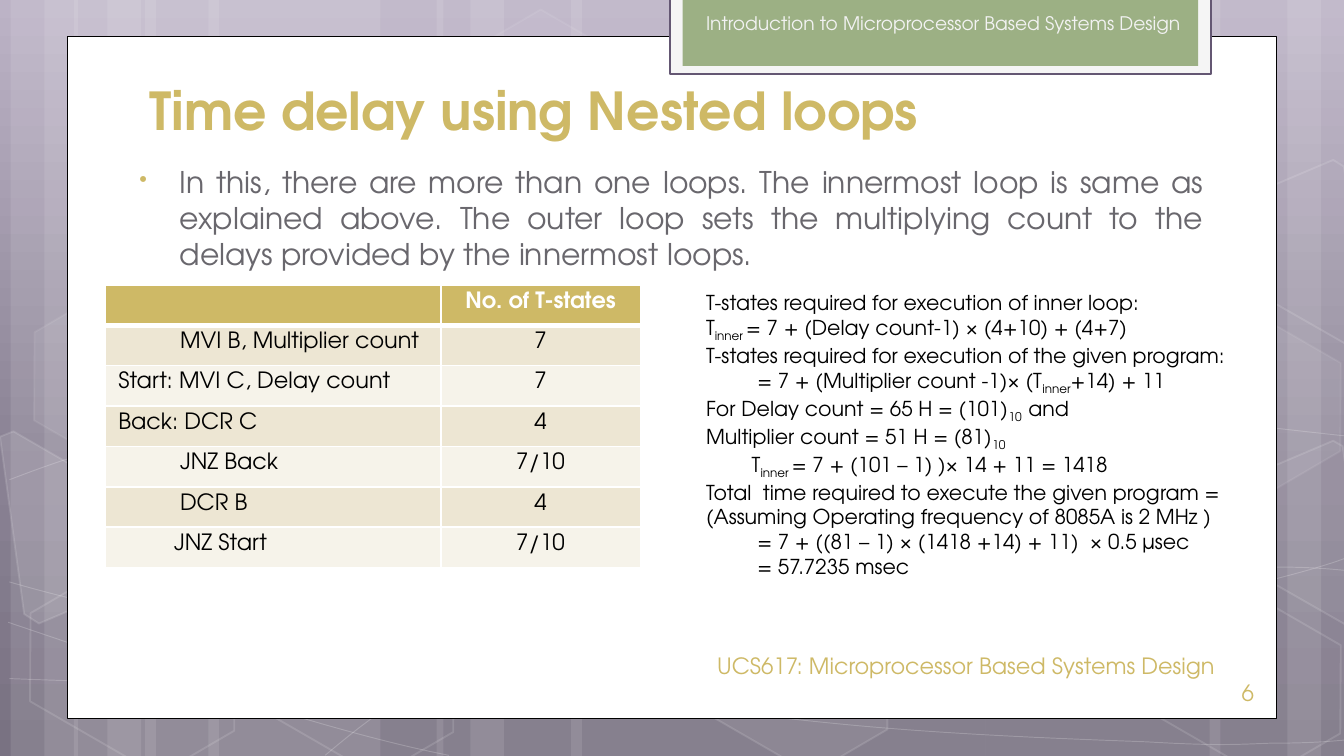
"""Builds a slide on time delays with nested loops."""
from lxml import etree
from copy import deepcopy
from pptx import Presentation
from pptx import util as u
from pptx.dml.color import RGBColor
from pptx.enum import shapes, text
from pptx.oxml.ns import qn

CELL = u.Inches(0.1)
COLUMNS, ROWS = 100, 56.25
FONT = "TeX Gyre Adventor"
GOLD = RGBColor(0xCE, 0xB9, 0x66)
GREEN = RGBColor(0x9C, 0xB0, 0x84)
PURPLE = RGBColor(0x64, 0x57, 0x73)
GREY = RGBColor(0x69, 0x67, 0x6D)
SMOKE = RGBColor(0xF5, 0xF5, 0xF5)
PEARL = RGBColor(0xF2, 0xF2, 0xF2)
WHITE = RGBColor(0xFF, 0xFF, 0xFF)
BLACK = RGBColor(0, 0, 0)
BANDS = [RGBColor(0xF6, 0xF3, 0xEA), RGBColor(0xED, 0xE6, 0xD3)]
SKY = [(0, RGBColor(0xBC, 0xB3, 0xC6)), (0.62, RGBColor(0x89, 0x81, 0x93)),
       (1, RGBColor(0x79, 0x72, 0x82))]

STRIPES = [(10.8, 17.5), (0.8, 5), (3.3, 8.3), (15.5, 17.5), (5.5, 5), (8, 8.3),
           (73.3, 17.5), (95.8, 5), (90, 8.3), (42.5, 30.8), (32.5, 5), (35, 8.3)]
CURVES = [
    [(0.7, 50.5), (6.1, 50.7), (11.5, 50.9), (19, 50.8), (26.5, 50.7), (35.8, 50.6),
     (45.8, 49.9), (55.8, 49.1), (70, 47.7), (79.2, 46.3), (88.3, 44.8), (97.7, 42.6),
     (100.7, 41.3)],
    [(0.7, 35.7), (3.6, 34.6), (6.5, 33.5), (12.1, 32.3), (17.8, 31.2), (25.9, 29.6),
     (34.7, 29), (43.6, 28.5), (54.4, 28.4), (65.4, 29), (76.4, 29.6), (94.7, 31.9),
     (100.7, 32.5)],
    [(0.6, 46.3), (12.7, 50.4), (24.7, 54.5), (33.4, 56.2)],
    [(0.7, 43.3), (3.8, 44.2), (7, 45), (12.8, 46.2), (18.6, 47.4), (27.3, 49.2),
     (35.7, 50.5), (44, 51.7), (54.5, 53.1), (62.8, 53.9), (71.1, 54.7), (80, 55),
     (85.3, 55.2), (90.5, 55.5), (91.9, 55.4), (94.5, 55.3), (97.1, 55.3), (98.9, 55.2),
     (100.7, 55)],
    [(24.2, 56.2), (26, 54.7), (27.8, 53.2), (30.2, 51.8), (32.6, 50.4), (36, 48.9),
     (38.8, 47.9), (41.6, 46.9), (43.3, 46.4), (47, 45.7), (50.6, 44.9), (57.3, 43.8),
     (60.8, 43.3), (64.4, 42.8), (64.9, 42.9), (68, 42.7), (71.1, 42.5), (76, 42.3),
     (79.4, 42.2), (82.9, 42.1), (88.6, 42.2), (95.3, 42.2), (97.1, 42.2), (98.8, 42.3),
     (100.6, 42.5)],
]
HEXAGONS = [(33.4, 2.7, 4, 8), (49.7, 44.2, 6, 12), (1.1, 44.3, 0, 12), (1.4, 23.4, 7, 8),
            (17.4, 44.4, 0, 12), (83.4, 44.5, 0, 12), (83.4, 23.5, 7, 8)]
EDGE_HEXAGONS = [
    ([(0, 32.5), (1, 32.1), (8.6, 36.5), (9.5, 43.6), (2.9, 46.4), (1.8, 45.7)], 10),
    ([(92.6, 35.6), (99.2, 32.8), (99.9, 33.2), (101.8, 46.8), (101.2, 47.1), (93.5, 42.7)], 4),
    ([(92.6, 14.7), (99.2, 11.9), (100, 12.4), (101.8, 26), (101.2, 26.2), (93.5, 21.8)], 0),
]
PROGRAM = [("MVI B, Multiplier count", 4.6, "7"), ("Start: MVI C, Delay count", 0, "7"),
           ("Back: DCR C", 0, "4"), ("JNZ Back", 4.6, "7/10"), ("DCR B", 4.6, "4"),
           ("JNZ Start", 4.15, "7/10")]
CALCULATION = [
    (0, ["T-states required for execution of inner loop:"]),
    (0, ["T", ("inner ", True), "= 7 + (Delay count-1) × (4+10) + (4+7)"]),
    (0, ["T-states required for execution of the given program:"]),
    (3.82, ["= 7 + (Multiplier count -1)× (T", ("inner", True), "+14) + 11"]),
    (0, ["For Delay count = 65 H = (101)", ("10  ", True), "and"]),
    (0, ["Multiplier count = 51 H = (81)", ("10", True)]),
    (3.4, ["T", ("inner ", True), "= 7 + (101 – 1) )× 14 + 11 = 1418"]),
    (0, ["Total  time required to execute the given program ="]),
    (0, ["(Assuming Operating frequency of 8085A is 2 MHz )"]),
    (3.82, ["= 7 + ((81 – 1) × (1418 +14) + 11)  × 0.5 µsec"]),
    (3.82, ["= 57.7235 msec"]),
]


def grid(*lengths):
    return [u.Emu(round(length * CELL)) for length in lengths]


def fade(holder, percent):
    colour = holder.find(f"{qn('a:solidFill')}/{qn('a:srgbClr')}")
    etree.SubElement(colour, qn("a:alpha"), val=str(percent * 1000))


def paint(shape, fill=None, opacity=100, line=None, width=1, line_opacity=100):
    shape.shadow.inherit = False
    if fill is None or opacity == 0:
        shape.fill.background()
    else:
        shape.fill.solid()
        shape.fill.fore_color.rgb = fill
        if opacity < 100:
            fade(shape.element.spPr, opacity)
    if line is None:
        shape.line.fill.background()
        return
    shape.line.color.rgb = line
    shape.line.width = u.Pt(width)
    if line_opacity < 100:
        fade(shape.element.spPr.find(qn("a:ln")), line_opacity)


def add_panel(slide, place, **look):
    panel = slide.shapes.add_shape(shapes.MSO_SHAPE.RECTANGLE, *grid(*place))
    paint(panel, **look)


def add_outline(slide, points, closed, **look):
    start, *rest = [grid(*point) for point in points]
    builder = slide.shapes.build_freeform(*start)
    builder.add_line_segments(rest, close=closed)
    outline = builder.convert_to_shape()
    paint(outline, **look)
    return outline


def add_curve(slide, knots):
    curve = add_outline(slide, knots, False, line=WHITE, width=0.5, line_opacity=20)
    segments = list(curve.element.iter(qn("a:lnTo")))
    for first in range(0, len(segments), 3):
        bend = etree.Element(qn("a:cubicBezTo"))
        segments[first].addprevious(bend)
        for segment in segments[first:first + 3]:
            bend.append(segment[0])
            segment.getparent().remove(segment)


def write(paragraph, wording, size, colour, bold=False, lowered=False):
    run = paragraph.add_run()
    run.text = wording
    font = run.font
    font.name, font.size, font.bold = FONT, u.Pt(size), bold
    font.color.rgb = colour
    if lowered:
        font._element.set("baseline", "-25000")


def indent(paragraph, left, first=0):
    margin, hanging = grid(left, first)
    properties = paragraph._p.get_or_add_pPr()
    properties.set("marL", str(margin))
    properties.set("indent", str(hanging))


def add_text(slide, place, anchor=text.MSO_ANCHOR.TOP):
    frame = slide.shapes.add_textbox(*grid(*place)).text_frame
    frame.word_wrap = True
    frame.vertical_anchor = anchor
    return frame


def add_label(slide, place, wording, size, colour, anchor=text.MSO_ANCHOR.MIDDLE,
              align=text.PP_ALIGN.LEFT, bold=False):
    paragraph = add_text(slide, place, anchor).paragraphs[0]
    paragraph.alignment = align
    write(paragraph, wording, size, colour, bold)


def add_backdrop(slide):
    sky = slide.background.fill
    sky.gradient()
    sky.gradient_angle = 270
    stops = next(slide.element.iter(qn("a:gsLst")))
    stops.append(deepcopy(stops[-1]))
    for stop, (position, colour) in zip(sky.gradient_stops, SKY):
        stop.position, stop.color.rgb = position, colour
    for left, width in STRIPES:
        add_panel(slide, (left, 0, width, ROWS), fill=WHITE, opacity=10)
    for knots in CURVES:
        add_curve(slide, knots)
    for left, top, opacity, line_opacity in HEXAGONS:
        hexagon = slide.shapes.add_shape(shapes.MSO_SHAPE.HEXAGON, *grid(left, top, 17.5, 11.4))
        hexagon.adjustments[0] = 0.285
        hexagon.rotation = 30
        paint(hexagon, WHITE, opacity, WHITE, 1, line_opacity)
    for corners, opacity in EDGE_HEXAGONS:
        add_outline(slide, corners, True, fill=WHITE, opacity=opacity, line=WHITE, line_opacity=12)


def add_intro(slide):
    intro = add_text(slide, (8.6, 11.7, 82, 37.5)).paragraphs[0]
    intro.alignment = text.PP_ALIGN.JUSTIFY
    intro.space_before = u.Pt(3.2)
    indent(intro, 3.8, -3)
    properties = intro._p.get_or_add_pPr()
    bullet_colour = etree.SubElement(properties, qn("a:buClr"))
    etree.SubElement(bullet_colour, qn("a:srgbClr"), val=str(GOLD))
    etree.SubElement(properties, qn("a:buSzPct"), val="76000")
    etree.SubElement(properties, qn("a:buChar"), char="•")
    write(intro, "In this, there are more than one loops. The innermost loop is same as explained "
          "above. The outer loop sets the multiplying count to the delays provided by the "
          "innermost loops.", 16, GREY)


def style_cell(cell, row, fill):
    widths = {"L": 1, "R": 1, "T": 3 if row == 1 else 1, "B": 3 if row == 0 else 1}
    properties = cell._tc.get_or_add_tcPr()
    for side, width in widths.items():
        border = etree.SubElement(properties, qn(f"a:ln{side}"), w=str(u.Pt(width)))
        solid = etree.SubElement(border, qn("a:solidFill"))
        etree.SubElement(solid, qn("a:srgbClr"), val=str(WHITE))
    cell.fill.solid()
    cell.fill.fore_color.rgb = fill


def add_program(slide):
    lines = [("", 0, "No. of T-states")] + PROGRAM
    table = slide.shapes.add_table(len(lines), 2, *grid(7.8, 21.2, 39.85, 21)).table
    for column, width in zip(table.columns, grid(25, 14.85)):
        column.width = width
    for row, (instruction, left, states) in enumerate(lines):
        table.rows[row].height = grid(3)[0]
        heading = row == 0
        for column, wording in enumerate((instruction, states)):
            cell = table.cell(row, column)
            style_cell(cell, row, GOLD if heading else BANDS[row % 2])
            paragraph = cell.text_frame.paragraphs[0]
            if column == 1:
                paragraph.alignment = text.PP_ALIGN.CENTER
            elif left:
                indent(paragraph, left)
            if wording:
                write(paragraph, wording, 12, WHITE if heading else BLACK, heading)
            else:
                etree.SubElement(paragraph._p, qn("a:endParaRPr"), sz="1200")


def add_calculation(slide):
    frame = add_text(slide, (51.55, 21.1, 41.4, 28.8))
    for number, (left, parts) in enumerate(CALCULATION):
        paragraph = frame.add_paragraph() if number else frame.paragraphs[0]
        if left:
            indent(paragraph, left)
        for part in parts:
            wording, lowered = (part, False) if isinstance(part, str) else part
            write(paragraph, wording, 11, BLACK, lowered=lowered)


def main():
    deck = Presentation()
    deck.slide_width, deck.slide_height = grid(COLUMNS, ROWS)
    slide = deck.slides.add_slide(deck.slide_layouts[6])
    add_backdrop(slide)
    add_panel(slide, (5, 2.7, 90, 50.75), fill=WHITE, line=BLACK, width=0.5)
    add_panel(slide, (49.85, -0.2, 40.25, 5.7), fill=SMOKE, line=PURPLE, width=1.25)
    add_panel(slide, (50.8, -0.2, 38.35, 5.1), fill=GREEN)
    add_label(slide, (10.15, 1.55, 76.8, 9.4), "Time delay using Nested loops", 28, GOLD,
              text.MSO_ANCHOR.BOTTOM, bold=True)
    add_intro(slide)
    add_label(slide, (91.4, 50, 8.6, 3), "6", 12, GOLD)
    add_label(slide, (51.55, 0.4, 48.4, 2.7), "Introduction to Microprocessor Based Systems Design",
              10, PEARL, text.MSO_ANCHOR.TOP)
    add_label(slide, (50.8, 48, 40.6, 3), "UCS617: Microprocessor Based Systems Design", 12, GOLD,
              align=text.PP_ALIGN.RIGHT)
    add_calculation(slide)
    add_program(slide)
    deck.save("out.pptx")


if __name__ == "__main__":
    main()
